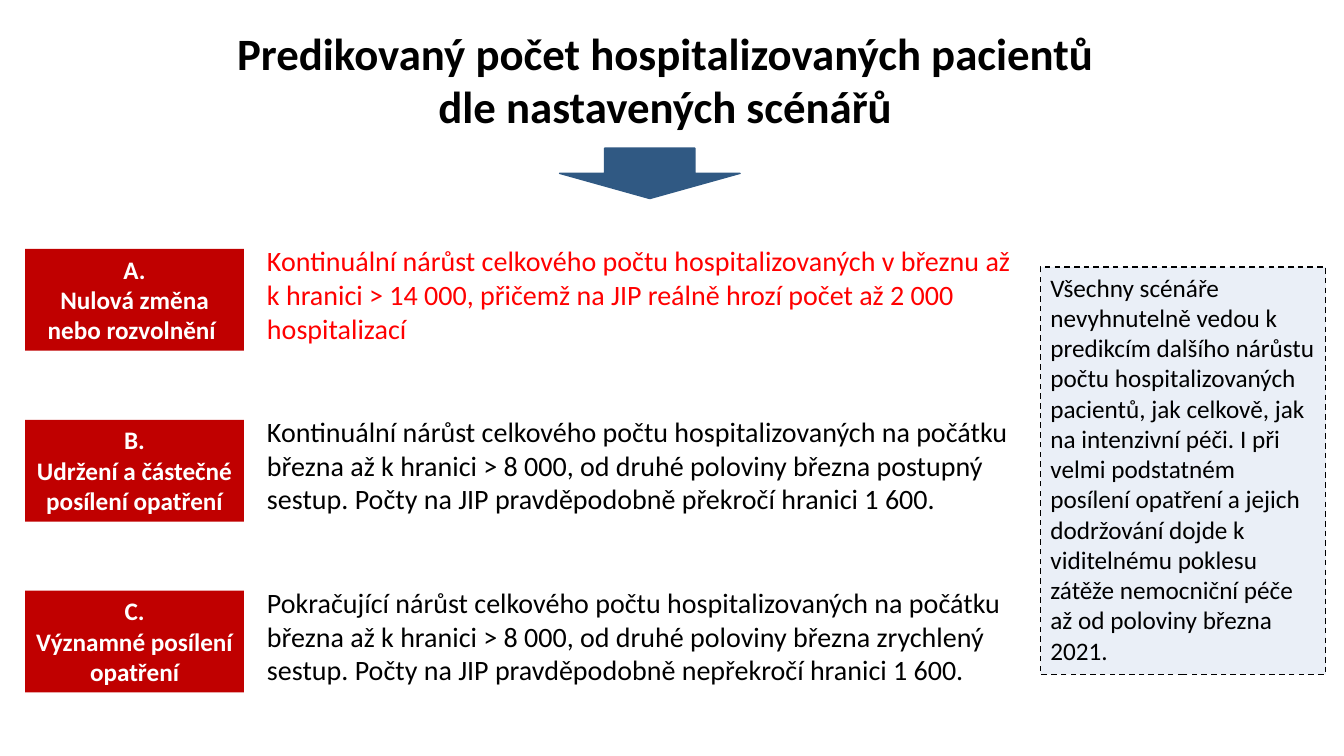
import pptx
import pptx.util
import pptx.dml.color
import pptx.enum.dml
import pptx.enum.shapes
import pptx.enum.text

Inches = pptx.util.Inches
SHAPES = pptx.enum.shapes.MSO_SHAPE
ALIGN = pptx.enum.text.PP_ALIGN
ANCHOR = pptx.enum.text.MSO_ANCHOR

TITLE = ["Predikovaný počet hospitalizovaných pacientů ", "dle nastavených scénářů "]
SCENARIOS = [
    ("A.", "Nulová změna nebo rozvolnění ", "FF0000",
     "Kontinuální nárůst celkového počtu hospitalizovaných v březnu až k hranici > 14 000, "
     "přičemž na JIP reálně hrozí počet až 2 000 hospitalizací"),
    ("B.", "Udržení a částečné posílení opatření", "000000",
     "Kontinuální nárůst celkového počtu hospitalizovaných na počátku března až k hranici "
     "> 8 000, od druhé poloviny března postupný sestup. Počty na JIP pravděpodobně "
     "překročí hranici 1 600."),
    ("C.", "Významné posílení opatření", "000000",
     "Pokračující nárůst celkového počtu hospitalizovaných na počátku března až k hranici "
     "> 8 000, od druhé poloviny března zrychlený sestup. Počty na JIP pravděpodobně "
     "nepřekročí hranici 1 600."),
]
CONCLUSION = (
    "Všechny scénáře nevyhnutelně vedou k predikcím dalšího nárůstu počtu hospitalizovaných "
    "pacientů, jak celkově, jak na intenzivní péči. I při velmi podstatném posílení opatření "
    "a jejich dodržování dojde k viditelnému poklesu zátěže nemocniční péče až od poloviny "
    "března 2021.")

FIRST_ROW_TOP = 2.47
ROW_STEP = 1.695
LABEL_HEIGHT = 1.01
TEXT_RISE = 0.1


def color(hex_string):
    return pptx.dml.color.RGBColor.from_string(hex_string)


def write(shape, lines, size, text_color="000000", bold=False,
          align=ALIGN.LEFT, anchor=ANCHOR.TOP):
    frame = shape.text_frame
    frame.word_wrap = True
    frame.auto_size = pptx.enum.text.MSO_AUTO_SIZE.NONE
    frame.vertical_anchor = anchor
    frame.text = "\n".join(lines)
    font_format = {"name": "Calibri", "size": pptx.util.Pt(size), "bold": bold}
    for paragraph in frame.paragraphs:
        paragraph.alignment = align
        for name, value in font_format.items():
            setattr(paragraph.font, name, value)
        paragraph.font.color.rgb = color(text_color)


def add_filled(slide, kind, box, fill, line=None):
    shape = slide.shapes.add_shape(kind, *map(Inches, box))
    shape.shadow.inherit = False
    shape.fill.solid()
    shape.fill.fore_color.rgb = color(fill)
    if line:
        shape.line.color.rgb = color(line)
        shape.line.width = pptx.util.Pt(1)
    else:
        shape.line.fill.background()
    return shape


def main():
    presentation = pptx.Presentation()
    presentation.slide_width = Inches(13.33)
    presentation.slide_height = Inches(7.5)
    slide = presentation.slides.add_slide(presentation.slide_layouts[5])

    title = slide.shapes.title
    title_box = {"left": 0.15, "top": 0.2, "width": 13, "height": 1.18}
    for name, value in title_box.items():
        setattr(title, name, Inches(value))
    write(title, TITLE, 32, bold=True, align=ALIGN.CENTER)

    add_filled(slide, SHAPES.DOWN_ARROW, (5.55, 1.47, 1.79, 0.5), "305983", "305983")

    for row, (letter, name, text_color, forecast) in enumerate(SCENARIOS):
        top = FIRST_ROW_TOP + row * ROW_STEP
        label = add_filled(slide, SHAPES.RECTANGLE, (0.25, top, 2.17, LABEL_HEIGHT), "C00000")
        write(label, [letter, name], 18, "FFFFFF", True, ALIGN.CENTER)
        forecast_box = (2.55, top - TEXT_RISE, 7.63, LABEL_HEIGHT + TEXT_RISE)
        write(slide.shapes.add_textbox(*map(Inches, forecast_box)), [forecast], 20, text_color)

    conclusion = add_filled(slide, SHAPES.RECTANGLE, (10.32, 2.65, 2.83, 4.04),
                            "EAEFF7", "000000")
    conclusion.line.dash_style = pptx.enum.dml.MSO_LINE.DASH
    write(conclusion, [CONCLUSION], 18)

    presentation.save("out.pptx")


if __name__ == "__main__":
    main()
